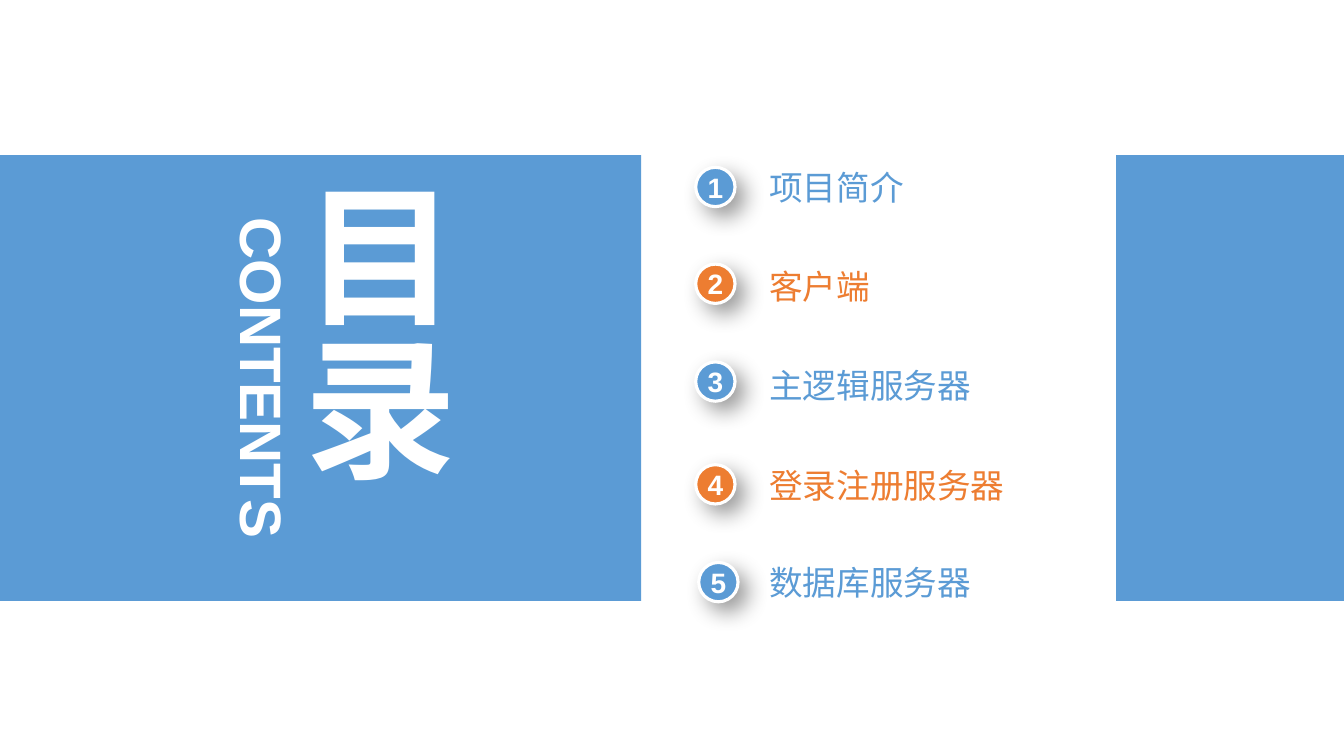
"""Build a contents slide with five numbered entries between two blue bands."""
from lxml import etree
from pptx import Presentation
from pptx.dml.color import RGBColor
from pptx.enum.shapes import MSO_SHAPE
from pptx.enum.text import MSO_ANCHOR, PP_ALIGN
from pptx.oxml.ns import qn
from pptx.util import Inches, Pt

BLUE = RGBColor(0x5B, 0x9B, 0xD5)
ORANGE = RGBColor(0xED, 0x7D, 0x31)
WHITE = RGBColor(0xFF, 0xFF, 0xFF)
RECT, OVAL = MSO_SHAPE.RECTANGLE, MSO_SHAPE.OVAL
TOP, MIDDLE = MSO_ANCHOR.TOP, MSO_ANCHOR.MIDDLE
LEFT, CENTER = PP_ALIGN.LEFT, PP_ALIGN.CENTER

TITLE = "目录"
SUBTITLE = "CONTENTS"
BANDS = [(0, 6.36), (11.07, 2.26)]
ITEMS = [
    ("项目简介", 6.9, 1.66, 1.66),
    ("客户端", 6.9, 2.62, 2.64),
    ("主逻辑服务器", 6.9, 3.59, 3.62),
    ("登录注册服务器", 6.9, 4.61, 4.61),
    ("数据库服务器", 6.93, 5.58, 5.57),
]
DOT = 0.39


def write(shape, text, size, color, bold=True, align=CENTER, anchor=MIDDLE):
    frame = shape.text_frame
    frame.margin_left = frame.margin_right = 0
    frame.margin_top = frame.margin_bottom = 0
    frame.word_wrap = True
    frame.vertical_anchor = anchor
    frame.text = text
    para = frame.paragraphs[0]
    para.alignment = align
    font = para.runs[0].font
    font.name, font.size, font.bold = "Arial", Pt(size), bold
    font.color.rgb = color


def add_box(slide, left, top, width, height):
    return slide.shapes.add_textbox(
        Inches(left), Inches(top), Inches(width), Inches(height))


def add_solid(slide, kind, left, top, width, height, color):
    shape = slide.shapes.add_shape(
        kind, Inches(left), Inches(top), Inches(width), Inches(height))
    shape.shadow.inherit = False
    shape.fill.solid()
    shape.fill.fore_color.rgb = color
    shape.line.fill.background()
    return shape


def cast_shadow(shape):
    effects = shape.element.spPr.find(qn("a:effectLst"))
    outer = etree.SubElement(
        effects, qn("a:outerShdw"), blurRad=str(Pt(16)), dist=str(Pt(9)),
        dir="2700000", algn="tl", rotWithShape="0")
    black = etree.SubElement(outer, qn("a:srgbClr"), val="000000")
    etree.SubElement(black, qn("a:alpha"), val="40000")


def add_item(slide, index, text, left, dot_top, text_top):
    color = ORANGE if index % 2 == 0 else BLUE
    dot = add_solid(slide, OVAL, left, dot_top, DOT, DOT, color)
    dot.line.color.rgb = WHITE
    dot.line.width = Pt(2.25)
    cast_shadow(dot)
    write(dot, str(index), 20, WHITE)
    label = add_box(slide, 7.63, text_top, 2.56, 0.4)
    write(label, text, 24, color, bold=False, align=LEFT)


def main():
    deck = Presentation()
    deck.slide_width, deck.slide_height = Inches(13.33), Inches(7.5)
    slide = deck.slides.add_slide(deck.slide_layouts[6])
    for left, width in BANDS:
        add_solid(slide, RECT, left, 1.54, width, 4.42, BLUE)
    for index, item in enumerate(ITEMS, 1):
        add_item(slide, index, *item)
    title = add_box(slide, 2.81, 1.78, 1.83, 3.93)
    write(title, TITLE, 109, WHITE)
    title.element.txBody.bodyPr.set("vert", "eaVert")
    label = add_box(slide, 0.9, 3.4, 3.42, 0.7)
    label.rotation = 90
    write(label, SUBTITLE, 41.7, WHITE, anchor=TOP)
    deck.save("out.pptx")


if __name__ == "__main__":
    main()
